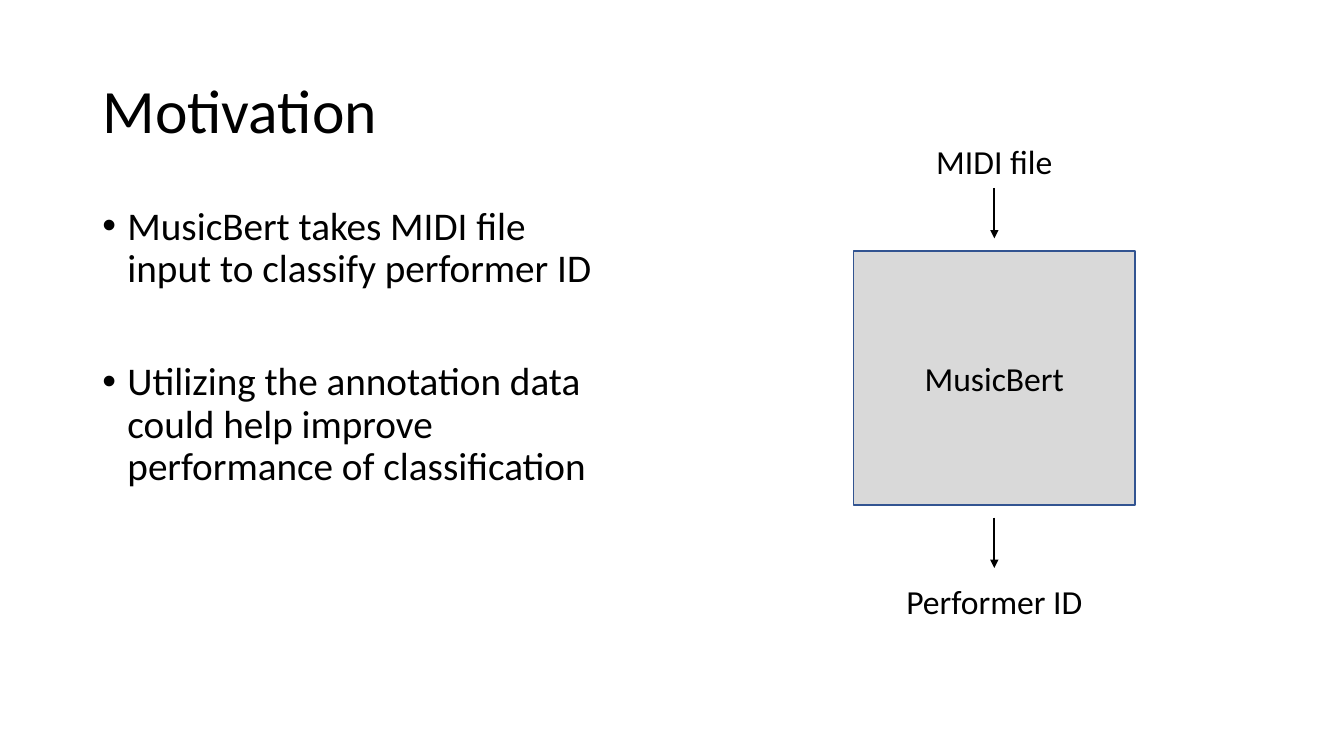
from lxml import etree
from pptx import Presentation
from pptx.dml.color import RGBColor
from pptx.enum.shapes import MSO_CONNECTOR, MSO_SHAPE
from pptx.enum.text import MSO_ANCHOR, MSO_AUTO_SIZE, PP_ALIGN
from pptx.oxml.ns import qn
from pptx.util import Pt

LEFT, CENTER = PP_ALIGN.LEFT, PP_ALIGN.CENTER
TOP, MIDDLE = MSO_ANCHOR.TOP, MSO_ANCHOR.MIDDLE
NO_AUTOSIZE = MSO_AUTO_SIZE.NONE
STRAIGHT = MSO_CONNECTOR.STRAIGHT
RECTANGLE = MSO_SHAPE.RECTANGLE

BLACK = RGBColor(0x00, 0x00, 0x00)
GRAY = RGBColor(0xD9, 0xD9, 0xD9)
BLUE = RGBColor(0x32, 0x54, 0x91)

TITLE_ONLY = 5


class SlideBuilder:
    font_name = "Calibri"
    title_size, body_size, label_size = 44, 28, 24
    line_spacing = 0.9

    def __init__(self, slide):
        self.slide = slide

    def _style(self, paragraph, size, align):
        paragraph.alignment = align
        font = paragraph.font
        font.name, font.size = self.font_name, Pt(size)
        font.color.rgb = BLACK

    def _frame(self, shape, anchor):
        frame = shape.text_frame
        frame.word_wrap = True
        frame.auto_size = NO_AUTOSIZE
        frame.vertical_anchor = anchor
        return frame

    def title(self, text, left, top, width, height):
        title = self.slide.shapes.title
        title.left, title.top = Pt(left), Pt(top)
        title.width, title.height = Pt(width), Pt(height)
        frame = self._frame(title, MIDDLE)
        frame.text = text
        heading = frame.paragraphs[0]
        heading.line_spacing = self.line_spacing
        self._style(heading, self.title_size, LEFT)

    def bullets(self, items, left, top, width, height, gap, indent=18):
        body = self.slide.shapes.add_textbox(Pt(left), Pt(top), Pt(width), Pt(height))
        frame = self._frame(body, TOP)
        frame.text = "\n".join(items)
        for index, item in enumerate(frame.paragraphs):
            self._style(item, self.body_size, LEFT)
            item.line_spacing = self.line_spacing
            item.space_before = Pt(gap if index else 0)
            properties = item._p.get_or_add_pPr()
            properties.set("marL", str(Pt(indent)))
            properties.set("indent", str(Pt(-indent)))
            bullet_font = etree.Element(qn("a:buFont"), typeface="Arial")
            bullet = etree.Element(qn("a:buChar"), char="•")
            default_run = properties.find(qn("a:defRPr"))
            default_run.addprevious(bullet_font)
            default_run.addprevious(bullet)

    def label(self, text, left, top, width, height):
        label = self.slide.shapes.add_textbox(Pt(left), Pt(top), Pt(width), Pt(height))
        frame = self._frame(label, TOP)
        frame.text = text
        self._style(frame.paragraphs[0], self.label_size, CENTER)

    def box(self, text, left, top, width, height):
        box = self.slide.shapes.add_shape(
            RECTANGLE, Pt(left), Pt(top), Pt(width), Pt(height))
        box.shadow.inherit = False
        box.fill.solid()
        box.fill.fore_color.rgb = GRAY
        box.line.color.rgb = BLUE
        box.line.width = Pt(1)
        frame = self._frame(box, MIDDLE)
        frame.text = text
        self._style(frame.paragraphs[0], self.label_size, CENTER)

    def down_arrow(self, x, top, length):
        arrow = self.slide.shapes.add_connector(
            STRAIGHT, Pt(x), Pt(top), Pt(x), Pt(top + length))
        arrow.line.color.rgb = BLACK
        arrow.line.width = Pt(1.5)
        etree.SubElement(arrow.line._get_or_add_ln(), qn("a:tailEnd"), type="triangle")
        etree.SubElement(arrow._element.spPr, qn("a:effectLst"))


def main():
    presentation = Presentation()
    presentation.slide_width, presentation.slide_height = Pt(960), Pt(540)
    layout = presentation.slide_layouts[TITLE_ONLY]
    builder = SlideBuilder(presentation.slides.add_slide(layout))

    builder.title("Motivation", 66, 28.8, 828, 104.4)
    builder.bullets(
        ["MusicBert takes MIDI file input to classify performer ID",
         "Utilizing the annotation data could help improve performance of classification"],
        66, 144, 371.5, 342.7, gap=50.5)

    model_left, model_top, model_width, model_height = 609.8, 179.3, 200.9, 181.4
    model_bottom = model_top + model_height
    center = model_left + model_width / 2
    arrow_gap, arrow_length = 9, 36
    label_height = 36

    builder.box("MusicBert", model_left, model_top, model_width, model_height)
    builder.label("MIDI file", model_left, 97.2, model_width, label_height)
    builder.down_arrow(center, model_top - arrow_gap - arrow_length, arrow_length)
    builder.down_arrow(center, model_bottom + arrow_gap, arrow_length)
    builder.label("Performer ID", model_left, 411.1, model_width, label_height)

    presentation.save("out.pptx")


if __name__ == "__main__":
    main()
